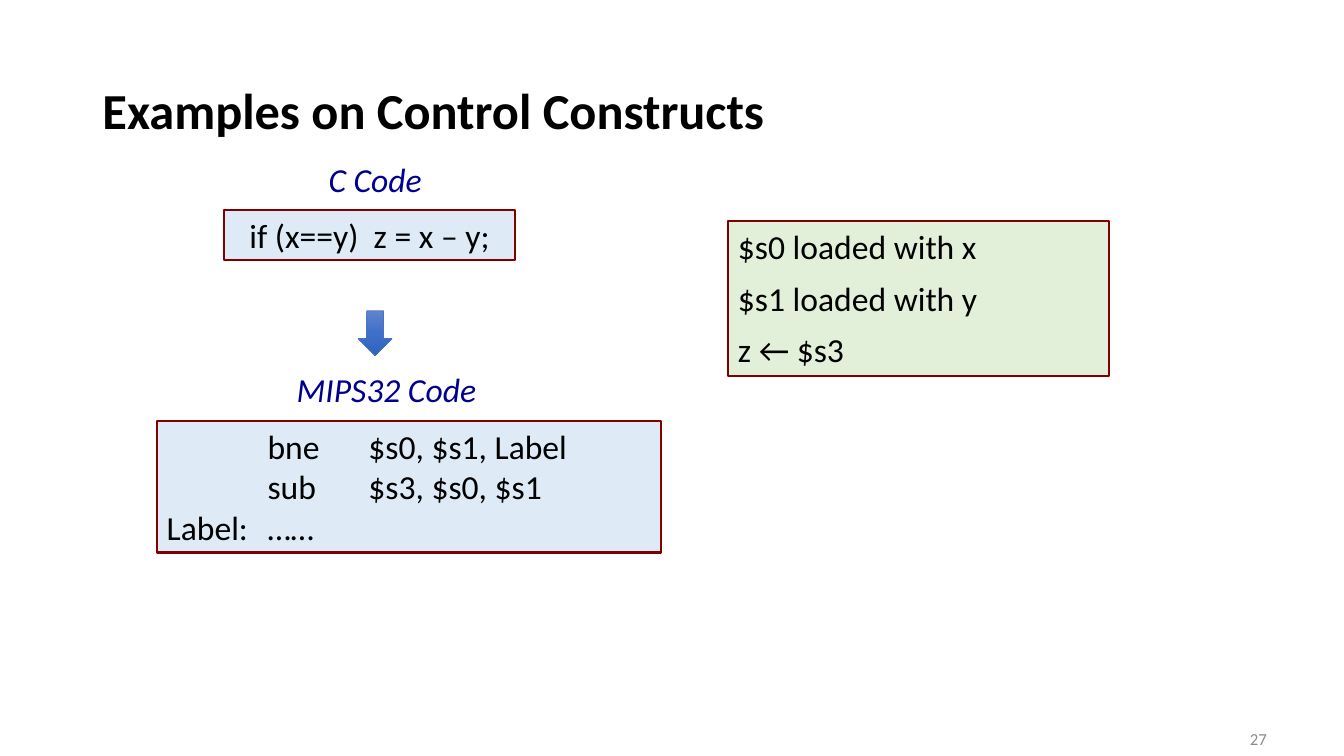
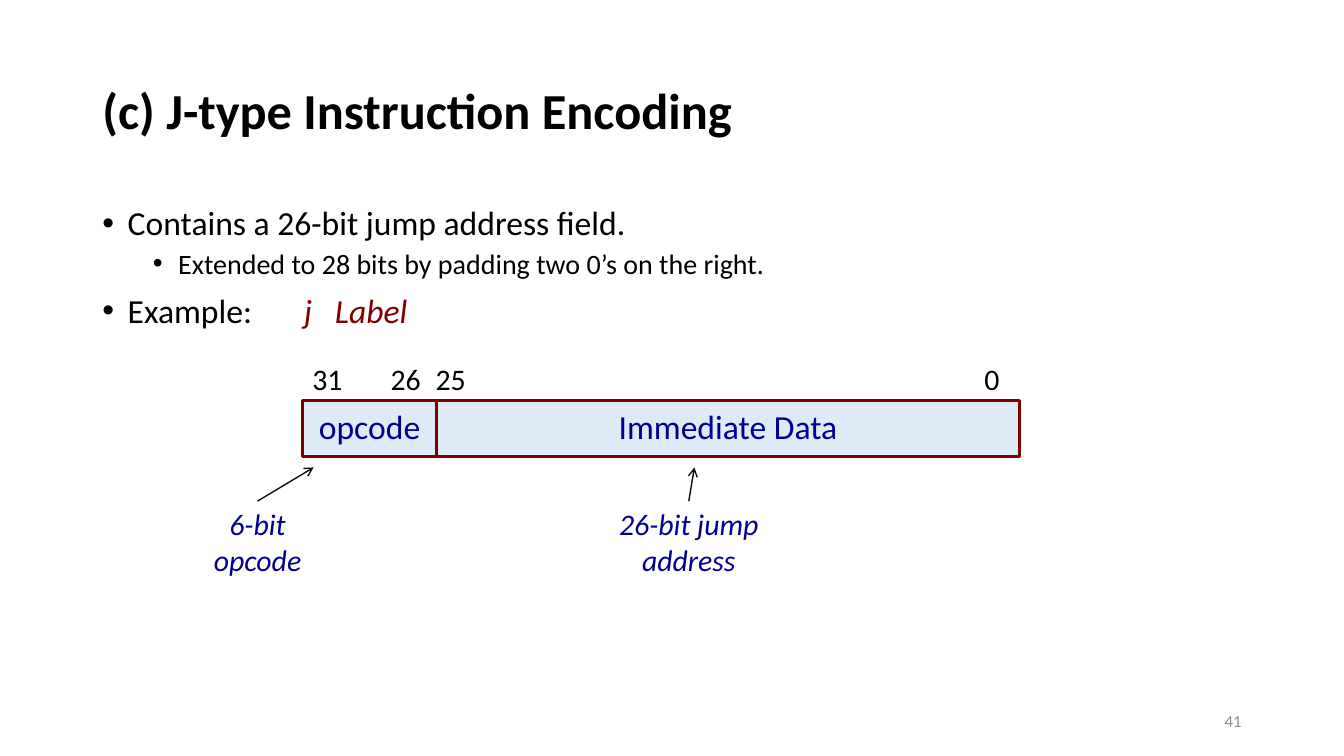
from copy import deepcopy

from lxml import etree
from pptx import Presentation
from pptx.dml.color import RGBColor
from pptx.enum.shapes import MSO_CONNECTOR, MSO_SHAPE
from pptx.enum.text import MSO_ANCHOR, MSO_AUTO_SIZE, PP_ALIGN
from pptx.oxml.ns import qn
from pptx.util import Inches, Pt

LEFT, MID, RIGHT = PP_ALIGN.LEFT, PP_ALIGN.CENTER, PP_ALIGN.RIGHT
TOP, CENTRE = MSO_ANCHOR.TOP, MSO_ANCHOR.MIDDLE
RECT, DOWN = MSO_SHAPE.RECTANGLE, MSO_SHAPE.DOWN_ARROW
LINE, FIXED = MSO_CONNECTOR.STRAIGHT, MSO_AUTO_SIZE.NONE

FONT = "Calibri"
COLS = 120  # grid columns across the slide; rows have the same pitch
HUES = {
    "ink": "000000", "navy": "000090", "red": "800000", "grey": "8C8C8C",
    "blue": "DEEBF7", "green": "E2F0D9", "wire": "0D0D0D", "edge": "4472C4",
    "light": "6183CB", "mean": "3E70CA", "deep": "3062BB",
}


def rgb(hue):
    return RGBColor.from_string(HUES[hue])


class Deck:
    """Holds the style, the grid and the current slide."""

    def __init__(self):
        self.prs = Presentation()
        self.prs.slide_width = Inches(13.33)
        self.prs.slide_height = Inches(7.5)
        self.unit = self.prs.slide_width / COLS

    def grid(self, *cells):
        return [round(c * self.unit) for c in cells]

    def place(self, shape, area):
        shape.left, shape.top, shape.width, shape.height = self.grid(*area)

    # Text
    def run(self, para, text, size, hue="ink", bold=False, ital=False):
        run = para.add_run()
        run.text = text
        font = run.font
        font.name, font.size = FONT, Pt(size)
        font.bold, font.italic = bold, ital
        font.color.rgb = rgb(hue)

    def tabs(self, para, stops):
        tabs = etree.SubElement(para._p.get_or_add_pPr(), qn("a:tabLst"))
        for stop in stops:
            etree.SubElement(tabs, qn("a:tab"), pos=str(Inches(stop)), algn="l")

    def lines(self, frame, texts, size=24, align=LEFT, anchor=TOP,
              after=0, stops=(), **look):
        frame.word_wrap = True
        frame.vertical_anchor = anchor
        for i, text in enumerate(texts):
            para = frame.add_paragraph() if i else frame.paragraphs[0]
            if stops:
                self.tabs(para, stops)
            para.alignment = align
            para.space_after = Pt(after)
            self.run(para, text, size, **look)

    # Slide with title and number
    def start(self, layout, title, number, spot):
        self.slide = self.prs.slides.add_slide(self.prs.slide_layouts[layout])
        head = self.slide.shapes.title
        self.place(head, (8.25, 3.6, 103.5, 13.05))
        self.lines(head.text_frame, [title], 36, anchor=CENTRE, bold=True)
        head.text_frame.auto_size = FIXED
        head.text_frame.paragraphs[0].line_spacing = 0.9
        self.label(spot, number, 12, align=RIGHT, anchor=CENTRE, hue="grey")

    # Bulleted list: items are (level, runs), a run is (text, look)
    def bullets(self, area, items):
        body = self.slide.placeholders[1]
        self.place(body, area)
        frame = body.text_frame
        frame.auto_size = FIXED
        for i, (level, runs) in enumerate(items):
            para = frame.add_paragraph() if i else frame.paragraphs[0]
            props = para._p.get_or_add_pPr()
            props.set("marL", str(Inches(0.25 + level / 2)))
            props.set("indent", str(Inches(-0.25)))
            etree.SubElement(props, qn("a:buFont"), typeface="Arial")
            etree.SubElement(props, qn("a:buChar"), char="•")
            self.tabs(para, [2])
            para.level = level
            para.line_spacing = 0.9
            para.space_before = Pt((5 if level else 10) if i else 0)
            for text, look in runs:
                self.run(para, text, 20 if level else 24, **look)

    def label(self, area, text, size=24, align=MID, **look):
        box = self.slide.shapes.add_textbox(*self.grid(*area))
        self.lines(box.text_frame, [text], size, align, **look)
        return box

    # Shapes
    def shape(self, kind, area, edge, width):
        shape = self.slide.shapes.add_shape(kind, *self.grid(*area))
        shape.shadow.inherit = False
        shape.line.color.rgb = rgb(edge)
        shape.line.width = Pt(width)
        return shape

    def box(self, area, texts, fill="blue", width=1.5, **look):
        box = self.shape(RECT, area, "red", width)
        box.fill.solid()
        box.fill.fore_color.rgb = rgb(fill)
        self.lines(box.text_frame, texts, **look)
        return box

    def field(self, area, name):
        box = self.box(area, [name], width=2, align=MID, anchor=CENTRE, hue="navy")
        box.text_frame.margin_top = 0

    def arrow(self, area):
        fill = self.shape(DOWN, area, "edge", 0.5).fill
        fill.gradient()
        fill.gradient_angle = 270
        first = self.slide.shapes[-1]._element.spPr.find(".//" + qn("a:gs"))
        first.addnext(deepcopy(first))
        for i, hue in enumerate(("light", "mean", "deep")):
            stop = fill.gradient_stops[i]
            stop.position = i / 2
            stop.color.rgb = rgb(hue)

    def point(self, box, x, y):
        """Arrow from the top of a box to a grid point."""
        wire = self.slide.shapes.add_connector(LINE, 0, 0, *self.grid(x, y))
        wire.begin_connect(box, 0)
        wire.line.color.rgb = rgb("wire")
        wire.line.width = Pt(1)
        props = wire._element.spPr
        etree.SubElement(props.find(qn("a:ln")), qn("a:tailEnd"), type="arrow")
        etree.SubElement(props, qn("a:effectLst"))


def control(deck):
    deck.start(5, "Examples on Control Constructs", "27", (86, 64.15, 28, 3.6))
    # C code above, assembly below
    deck.label((26, 13.75, 15, 4.5), "C Code", hue="navy", ital=True)
    deck.box((20, 18.75, 26, 4.5), ["if (x==y)  z = x – y;"], align=MID)
    deck.arrow((32, 27.75, 3, 4))
    deck.label((24, 32.5, 21, 4.5), "MIPS32 Code", hue="navy", ital=True)
    deck.box((14, 37.6, 45, 11.75), [
        "\tbne\t$s0, $s1, Label",
        "\tsub\t$s3, $s0, $s1",
        "Label:\t……",
    ], stops=(1, 2))
    # Register use
    deck.box((65, 19.75, 34, 13.85), [
        "$s0 loaded with x", "$s1 loaded with y", "z ← $s3",
    ], fill="green", after=8)


def jump(deck):
    deck.start(1, "(c) J-type Instruction Encoding", "41", (84.75, 62.55, 27, 3.6))
    deck.bullets((8.25, 18, 103.5, 42.85), [
        (0, [("Contains a 26-bit jump address field.", {})]),
        (1, [("Extended to 28 bits by padding two 0’s on the right.", {})]),
        (0, [("Example:\t", {}), ("j   Label", {"hue": "red", "ital": True})]),
    ])
    # Instruction word and its bit numbers
    deck.field((27, 35.75, 12, 5), "opcode")
    deck.field((39, 35.75, 52, 5), "Immediate Data")
    for x, bit in ((27, "31"), (34, "26"), (38, "25"), (87, "0")):
        deck.label((x, 31.75, 6, 4.15), bit, 21.3, LEFT)
    # Notes pointing at the fields
    for x, wide, text, tip in ((16, 14, "6-bit opcode", 28),
                               (53, 17, "26-bit jump address", 62)):
        note = deck.label((x, 44.75, wide, 7.4), text, 21.3, hue="navy", ital=True)
        deck.point(note, tip, 41.75)


def main():
    deck = Deck()
    control(deck)
    jump(deck)
    deck.prs.save("out.pptx")


if __name__ == "__main__":
    main()
